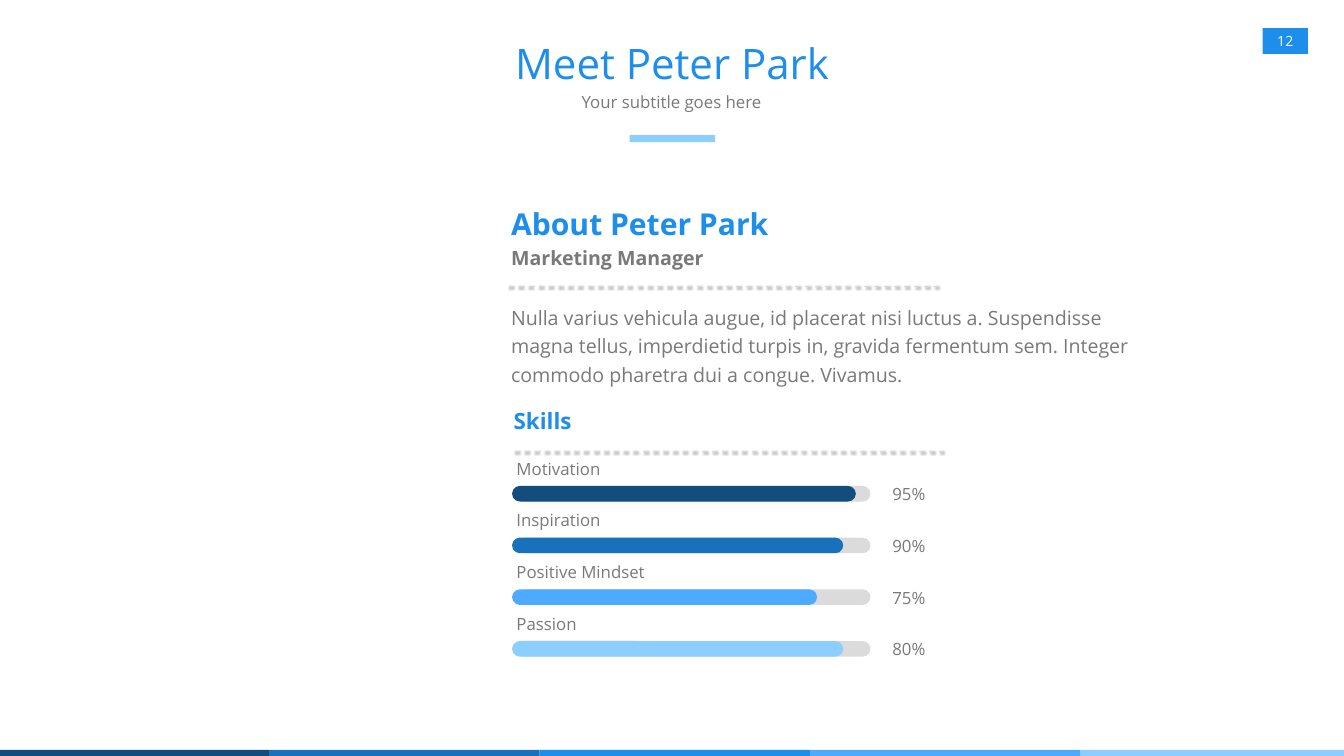
import dataclasses

import pptx
import pptx.dml.color
import pptx.enum.dml
import pptx.enum.shapes
import pptx.enum.text
import pptx.oxml
import pptx.oxml.ns
import pptx.util

SHAPES = pptx.enum.shapes.MSO_SHAPE
ALIGN = pptx.enum.text.PP_ALIGN
ANCHOR = pptx.enum.text.MSO_ANCHOR

LINE_SHADOW = f"""
<a:effectLst {pptx.oxml.ns.nsdecls("a")}>
  <a:outerShdw blurRad="40000" dist="20000" dir="5400000" rotWithShape="0">
    <a:srgbClr val="000000"><a:alpha val="38000"/></a:srgbClr>
  </a:outerShdw>
</a:effectLst>"""


@dataclasses.dataclass(frozen=True)
class Theme:
    font: str = "Open Sans"
    navy: str = "134D7E"
    blue: str = "1971BB"
    accent: str = "1D8EEA"
    sky: str = "4EAAFF"
    pale: str = "8BCEFF"
    text: str = "797979"
    track: str = "DBDBDB"
    rule: str = "D9D9D9"
    white: str = "FFFFFF"
    title_size: int = 60
    heading_size: int = 43
    section_size: int = 32
    body_size: int = 28
    label_size: int = 24
    number_size: int = 20


def set_values(target, values):
    for name, value in values.items():
        setattr(target, name, value)


class SlideBuilder:
    def __init__(self, presentation, theme):
        self.theme = theme
        self.column = presentation.slide_width / 100
        self.row = presentation.slide_height / 100
        self.slide = presentation.slides.add_slide(presentation.slide_layouts[0])

    def across(self, columns):
        return round(columns * self.column)

    def down(self, rows):
        return round(rows * self.row)

    def box(self, left, top, width, height):
        return self.across(left), self.down(top), self.across(width), self.down(height)

    def set_text(self, shape, lines, inset=(0.38, 0.33), anchor=ANCHOR.TOP, **layout):
        horizontal, vertical = self.across(inset[0]), self.down(inset[1])
        frame = shape.text_frame
        set_values(frame, {
            "word_wrap": True,
            "auto_size": pptx.enum.text.MSO_AUTO_SIZE.NONE,
            "vertical_anchor": anchor,
            "margin_left": horizontal, "margin_right": horizontal,
            "margin_top": vertical, "margin_bottom": vertical,
        })
        for index, (text, size, color, bold) in enumerate(lines):
            paragraph = frame.add_paragraph() if index else frame.paragraphs[0]
            set_values(paragraph, {"alignment": ALIGN.LEFT, **layout})
            run = paragraph.add_run()
            run.text = text
            set_values(run.font, {
                "name": self.theme.font, "size": pptx.util.Pt(size), "bold": bold,
            })
            run.font.color.rgb = pptx.dml.color.RGBColor.from_string(color)

    def placeholder(self, index, place, line, **layout):
        shape = self.slide.placeholders[index]
        set_values(shape, dict(zip(("left", "top", "width", "height"), self.box(*place))))
        self.set_text(shape, [line], inset=(0.9, 0.8), **layout)

    def text(self, place, lines, **layout):
        self.set_text(self.slide.shapes.add_textbox(*self.box(*place)), lines, **layout)

    def block(self, place, color, kind=SHAPES.RECTANGLE):
        shape = self.slide.shapes.add_shape(kind, *self.box(*place))
        shape.shadow.inherit = False
        shape.fill.solid()
        shape.fill.fore_color.rgb = pptx.dml.color.RGBColor.from_string(color)
        shape.line.fill.background()
        return shape

    def pill(self, place, color):
        self.block(place, color, SHAPES.ROUNDED_RECTANGLE).adjustments[0] = 0.5

    def dashed_rule(self, left, top, width):
        start, level = self.across(left), self.down(top)
        connector = self.slide.shapes.add_connector(
            pptx.enum.shapes.MSO_CONNECTOR.STRAIGHT,
            start, level, start + self.across(width), level)
        connector.line.color.rgb = pptx.dml.color.RGBColor.from_string(self.theme.rule)
        set_values(connector.line, {
            "width": pptx.util.Pt(2),
            "dash_style": pptx.enum.dml.MSO_LINE.DASH,
        })
        connector._element.spPr.append(pptx.oxml.parse_xml(LINE_SHADOW))

    def skill(self, top, label, value, filled, color):
        theme = self.theme
        self.pill((38.44, top, 26.33, 2.07), theme.track)
        self.pill((38.1, top, filled, 2.07), color)
        for text, left, offset, width in ((label, 37.43, -4.53, 26.66), (value, 65.4, -1.13, 4.95)):
            self.text((left, top + offset, width, 4.27),
                      [(text, theme.label_size, theme.text, False)], inset=(1, 0.87))


def main():
    presentation = pptx.Presentation()
    set_values(presentation, {
        "slide_width": pptx.util.Inches(26.67),
        "slide_height": pptx.util.Inches(15),
    })
    theme = Theme()
    builder = SlideBuilder(presentation, theme)

    stripe = 20.13
    for index, color in enumerate((theme.navy, theme.blue, theme.accent, theme.sky, theme.pale)):
        builder.block((index * stripe - 0.11, 99.2, stripe, 1.3), color)

    badge = builder.block((93.94, 3.73, 3.38, 3.4), theme.accent)
    builder.set_text(badge, [("12", theme.number_size, theme.white, False)],
                     inset=(0, 0), anchor=ANCHOR.MIDDLE, alignment=ALIGN.CENTER)

    builder.placeholder(0, (7.5, 4.13, 85, 8.27),
                        ("Meet Peter Park", theme.title_size, theme.accent, False),
                        anchor=ANCHOR.MIDDLE, alignment=ALIGN.CENTER)
    builder.placeholder(1, (7.61, 10.47, 84.71, 7.87),
                        ("Your subtitle goes here", theme.label_size, theme.text, False),
                        alignment=ALIGN.CENTER, line_spacing=1.3,
                        space_before=pptx.util.Pt(4.8))
    builder.block((46.84, 17.87, 6.38, 0.93), theme.pale)

    builder.text((37.65, 25.87, 48.98, 10.13), [
        ("About Peter Park", theme.heading_size, theme.accent, True),
        ("Marketing Manager", theme.body_size, theme.text, True),
    ], line_spacing=1.2)
    builder.dashed_rule(37.91, 37.87, 31.91)
    builder.text((37.65, 39.53, 48.98, 11.87), [(
        "Nulla varius vehicula augue, id placerat nisi luctus a. Suspendisse magna tellus, "
        "imperdietid turpis in, gravida fermentum sem. Integer commodo pharetra dui a congue. "
        "Vivamus.", theme.body_size, theme.text, False)], line_spacing=1.2)

    builder.text((37.84, 52.87, 48.98, 4.87),
                 [("Skills", theme.section_size, theme.accent, True)], line_spacing=1.2)
    builder.dashed_rule(38.33, 59.73, 31.91)
    skills = (
        ("Motivation", "95%", 25.58, theme.navy),
        ("Inspiration", "90%", 24.64, theme.blue),
        ("Positive Mindset", "75%", 22.69, theme.sky),
        ("Passion", "80%", 24.64, theme.pale),
    )
    for index, skill in enumerate(skills):
        builder.skill(64.27 + index * 6.84, *skill)

    presentation.save("out.pptx")


if __name__ == "__main__":
    main()
